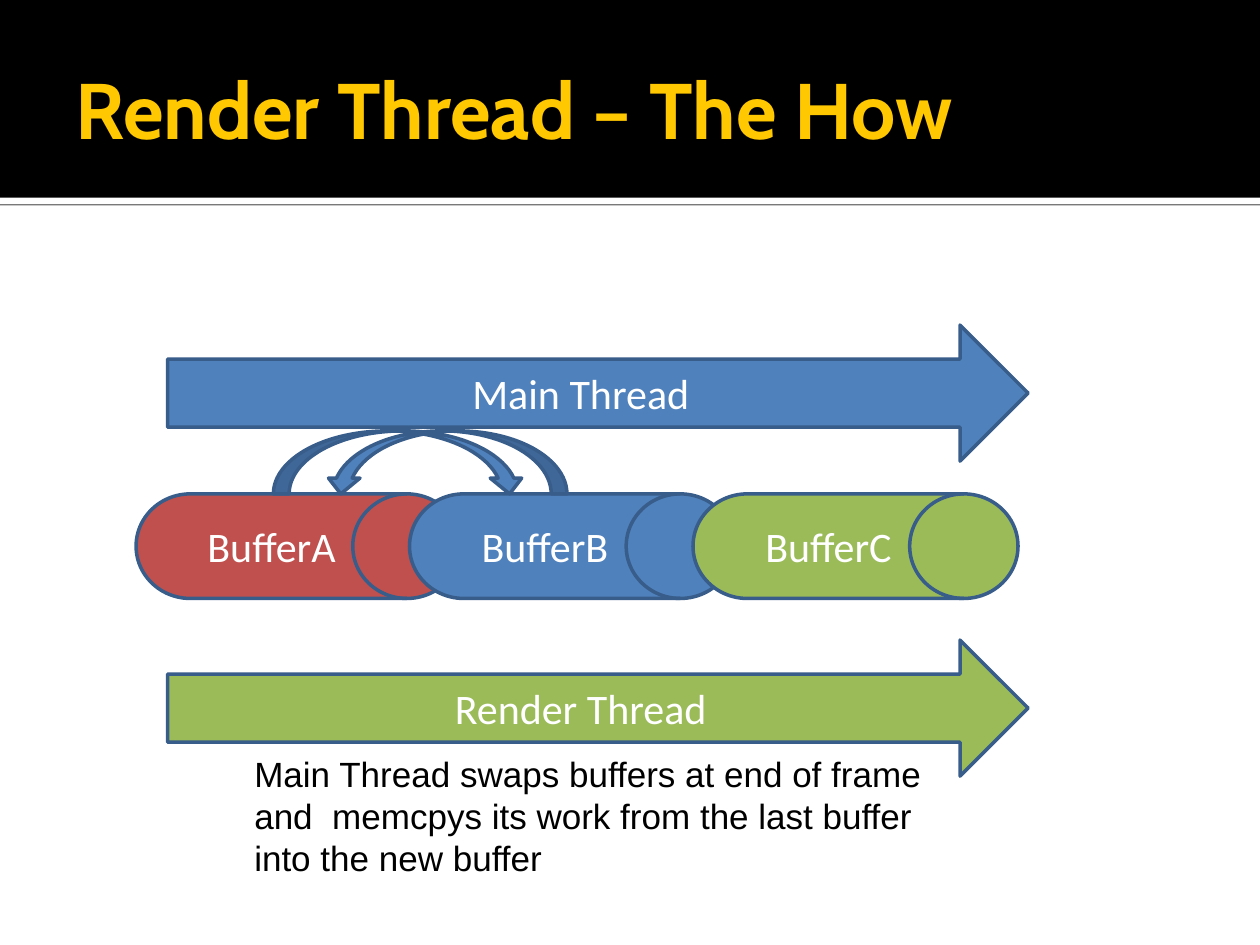
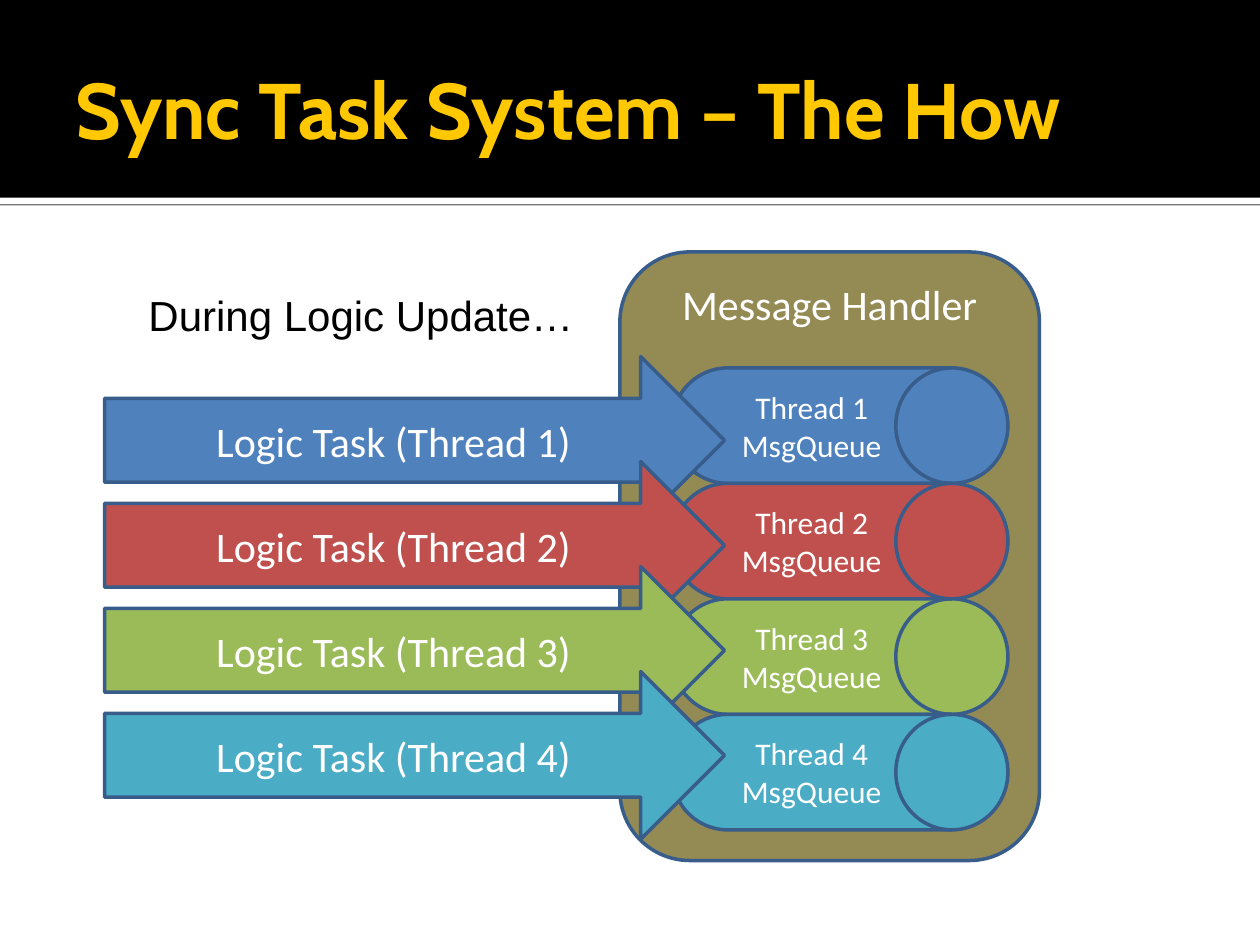
from dataclasses import dataclass

from lxml import etree
from pptx import Presentation
from pptx import util as u
from pptx.dml.color import RGBColor
from pptx.enum import shapes, text
from pptx.oxml import ns

Preset = shapes.MSO_SHAPE
Anchor = text.MSO_ANCHOR
Align = text.PP_ALIGN


@dataclass(frozen=True)
class Theme:
    black: str = "000000"
    white: str = "FFFFFF"
    gold: str = "FFC800"
    blue: str = "4F81BD"
    red: str = "C0504D"
    green: str = "9BBB59"
    teal: str = "4BACC6"
    olive: str = "948A54"
    outline: str = "385D8A"
    outline_width: float = 2
    title_font: str = "Cabin"
    label_font: str = "Calibri"
    note_font: str = "Arial"
    title_size: int = 45
    label_size: int = 24
    small_size: int = 18
    note_size: int = 20


class Deck:
    def __init__(self, theme):
        self.theme = theme
        self.presentation = Presentation()
        self.presentation.slide_width = u.Inches(10)
        self.presentation.slide_height = u.Inches(7.5)
        self.slide = None

    def add_slide(self, title):
        blank = self.presentation.slide_layouts[6]
        self.slide = self.presentation.slides.add_slide(blank)
        rule = self.shape(Preset.RECTANGLE, (0, 1.57, 10, 0.05),
                          self.theme.white, outlined=False)
        self.cast_shadow(rule)
        self.shape(Preset.RECTANGLE, (0, 0, 10, 1.57), self.theme.black, outlined=False)
        heading = self.text_box((0.5, 0.17, 9, 1.37), title, self.theme.title_size,
                                self.theme.title_font, self.theme.gold, bold=True)
        heading.text_frame.vertical_anchor = Anchor.MIDDLE
        heading.text_frame.margin_right = u.Inches(0.05)

    def shape(self, preset, box, fill, lines=(), size=None, outlined=True):
        """Add a filled preset shape with centred label lines."""
        shape = self.slide.shapes.add_shape(preset, *map(u.Inches, box))
        shape.shadow.inherit = False
        shape.fill.solid()
        shape.fill.fore_color.rgb = RGBColor.from_string(fill)
        if outlined:
            shape.line.color.rgb = RGBColor.from_string(self.theme.outline)
            shape.line.width = u.Pt(self.theme.outline_width)
        else:
            shape.line.fill.background()
        if lines:
            shape.text_frame.vertical_anchor = Anchor.MIDDLE
            self.add_lines(shape.text_frame, lines, size or self.theme.label_size,
                           self.theme.label_font, self.theme.white, Align.CENTER)
        return shape

    def arrow(self, box, fill, label):
        return self.shape(Preset.RIGHT_ARROW, box, fill, [label])

    def drum(self, box, fill, lines, size=None):
        return self.shape(Preset.FLOWCHART_DIRECT_ACCESS_STORAGE, box, fill, lines, size)

    def swap_arrow(self, box, leftward=False):
        arrow = self.shape(Preset.CURVED_DOWN_ARROW, box, self.theme.blue)
        if leftward:
            arrow._element.spPr.find(ns.qn("a:xfrm")).set("flipH", "1")

    def text_box(self, box, words, size, font, color, bold=False):
        text_box = self.slide.shapes.add_textbox(*map(u.Inches, box))
        text_box.text_frame.word_wrap = True
        self.add_lines(text_box.text_frame, [words], size, font, color, Align.LEFT, bold)
        return text_box

    def note(self, box, words, size):
        self.text_box(box, words, size, self.theme.note_font, self.theme.black)

    @staticmethod
    def add_lines(frame, lines, size, font, color, alignment, bold=False):
        for index, line in enumerate(lines):
            paragraph = frame.add_paragraph() if index else frame.paragraphs[0]
            paragraph.alignment = alignment
            run = paragraph.add_run()
            run.text = line
            run.font.size = u.Pt(size)
            run.font.name = font
            run.font.bold = bold
            run.font.color.rgb = RGBColor.from_string(color)

    def cast_shadow(self, shape):
        """Give the shape a thin, sharp shadow straight below it."""
        effects = shape._element.spPr.find(ns.qn("a:effectLst"))
        shadow = etree.SubElement(effects, ns.qn("a:outerShdw"), blurRad="0",
                                  dist=str(u.Pt(0.8)), dir="5400000",
                                  algn="tl", rotWithShape="0")
        color = etree.SubElement(shadow, ns.qn("a:srgbClr"), val=self.theme.black)
        etree.SubElement(color, ns.qn("a:alpha"), val="60000")


def add_render_thread(deck):
    theme = deck.theme
    deck.add_slide("Render Thread – The How")
    for top, fill, label in ((2.58, theme.blue, "Main Thread"),
                             (5.08, theme.green, "Render Thread")):
        deck.arrow((1.33, top, 6.83, 1.08), fill, label)
    for left, fill, label in ((1.08, theme.red, "BufferA"),
                              (3.25, theme.blue, "BufferB"),
                              (5.5, theme.green, "BufferC")):
        deck.drum((left, 3.92, 2.58, 0.83), fill, [label])
    deck.swap_arrow((2.17, 3.42, 2, 0.5))
    deck.swap_arrow((2.58, 3.42, 1.92, 0.5), leftward=True)
    deck.note((1.92, 5.92, 5.5, 1.1),
              "Main Thread swaps buffers at end of frame and  memcpys its work "
              "from the last buffer into the new buffer", theme.note_size)


def add_sync_tasks(deck):
    theme = deck.theme
    deck.add_slide("Sync Task System – The How")
    handler = deck.shape(Preset.ROUNDED_RECTANGLE, (4.92, 2, 3.33, 4.83),
                         theme.olive, ["Message Handler"])
    handler.text_frame.vertical_anchor = Anchor.TOP
    queue_height, task_step = 11 / 12, 5 / 6
    thread_fills = (theme.blue, theme.red, theme.green, theme.teal)
    for index, fill in enumerate(thread_fills):
        deck.drum((5.33, 2.92 + index * queue_height, 2.67, queue_height), fill,
                  [f"Thread {index + 1}", "MsgQueue"], theme.small_size)
    for index, fill in enumerate(thread_fills):
        deck.arrow((0.83, 2.83 + index * task_step, 4.92, 1.33), fill,
                   f"Logic Task (Thread {index + 1})")
    deck.note((1.08, 2.25, 3.58, 0.5), "During Logic Update…", theme.label_size)


def main():
    deck = Deck(Theme())
    add_render_thread(deck)
    add_sync_tasks(deck)
    deck.presentation.save("out.pptx")


if __name__ == "__main__":
    main()
